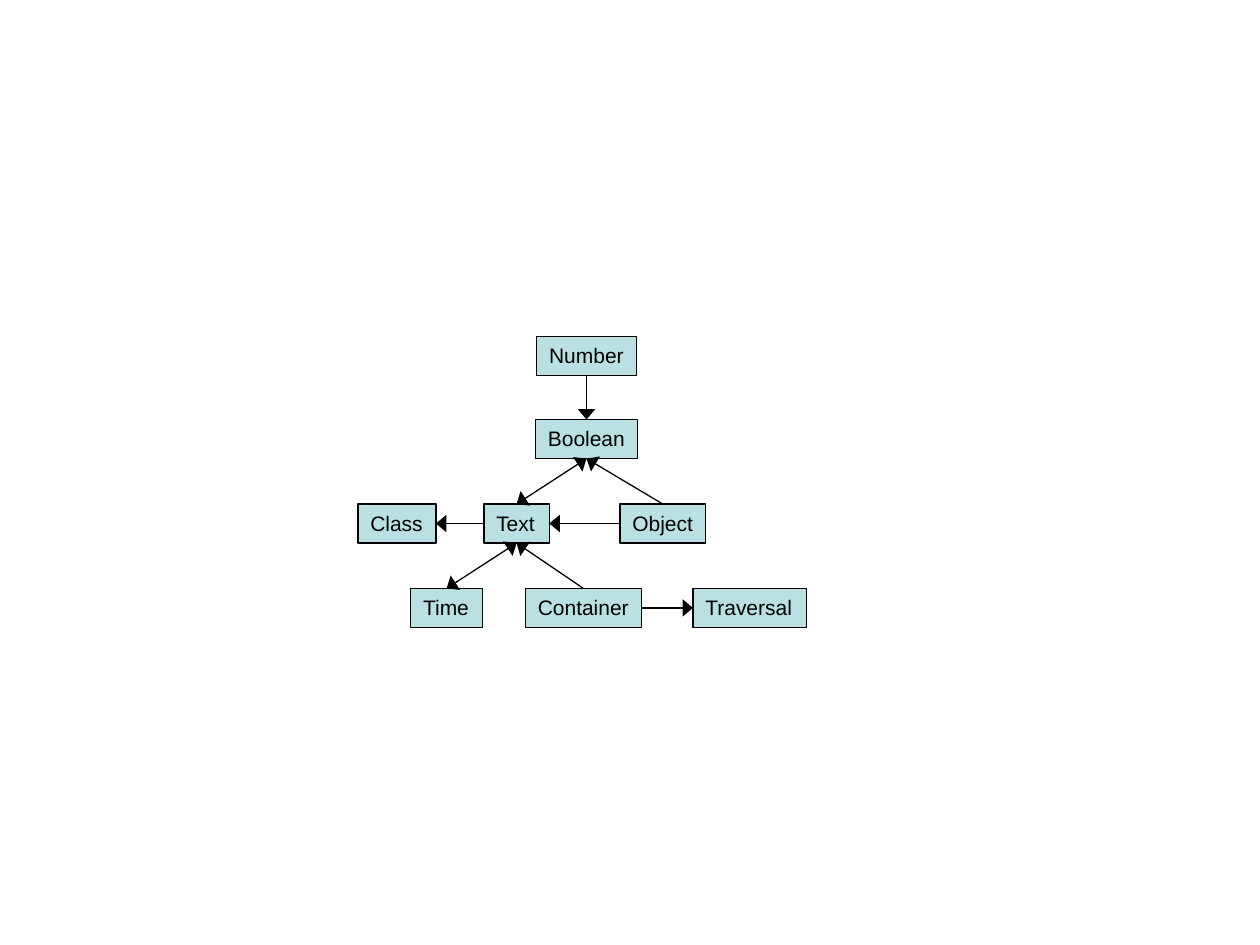
from lxml import etree
from pptx import Presentation
from pptx import util as u
from pptx.dml.color import RGBColor
from pptx.enum import shapes, text
from pptx.oxml.ns import qn


def paint(fill, color):
    fill.solid()
    fill.fore_color.rgb = RGBColor.from_string(color)


deck = Presentation()
deck.slide_width, deck.slide_height = u.Inches(10), u.Inches(7.5)
slide = deck.slides.add_slide(deck.slide_layouts[6])

rows = [2.67, 3.33, 4, 4.67]
nodes = [
    ("Text", 3.84, 2, 0.52),
    ("Boolean", 4.25, 1, 0.81),
    ("Number", 4.26, 0, 0.79),
    ("Object", 4.92, 2, 0.68),
    ("Traversal", 5.5, 3, 0.9),
    ("Class", 2.84, 2, 0.62),
    ("Container", 4.17, 3, 0.92),
    ("Time", 3.26, 3, 0.57),
]
frame_look = {
    "word_wrap": False,
    "auto_size": text.MSO_AUTO_SIZE.SHAPE_TO_FIT_TEXT,
    "vertical_anchor": text.MSO_ANCHOR.TOP,
    "margin_left": u.Inches(0.1),
    "margin_right": u.Inches(0.1),
    "margin_top": u.Inches(0.05),
    "margin_bottom": u.Inches(0.05),
}
font_look = {"name": "Arial", "size": u.Pt(12)}

boxes = {}
for name, left, row, width in nodes:
    box = slide.shapes.add_shape(
        shapes.MSO_SHAPE.RECTANGLE,
        u.Inches(left), u.Inches(rows[row]), u.Inches(width), u.Inches(0.31))
    box.shadow.inherit = False
    paint(box.fill, "BBE0E3")
    paint(box.line.fill, "000000")
    box.line.width = u.Pt(0.75)
    for key, value in frame_look.items():
        setattr(box.text_frame, key, value)
    para = box.text_frame.paragraphs[0]
    para.text = name
    para.alignment = text.PP_ALIGN.LEFT
    for key, value in font_look.items():
        setattr(para.font, key, value)
    paint(para.font.fill, "000000")
    boxes[name] = box

top, west, base, east = range(4)
links = [
    ("Text", west, "Class", east, ["tailEnd"]),
    ("Object", west, "Text", east, ["tailEnd"]),
    ("Number", base, "Boolean", top, ["tailEnd"]),
    ("Object", top, "Boolean", base, ["tailEnd"]),
    ("Container", east, "Traversal", west, ["tailEnd"]),
    ("Container", top, "Text", base, ["tailEnd"]),
    ("Text", base, "Time", top, ["headEnd", "tailEnd"]),
    ("Text", top, "Boolean", base, ["headEnd", "tailEnd"]),
]
for start, out, end, into, heads in links:
    link = slide.shapes.add_connector(shapes.MSO_CONNECTOR.STRAIGHT, 0, 0, 0, 0)
    link.begin_connect(boxes[start], out)
    link.end_connect(boxes[end], into)
    paint(link.line.fill, "000000")
    link.line.width = u.Pt(0.75)
    props = link._element.spPr
    for head in heads:
        etree.SubElement(props.find(qn("a:ln")), qn(f"a:{head}"),
                         type="triangle", w="lg", len="med")
    etree.SubElement(props, qn("a:effectLst"))

deck.save("out.pptx")
